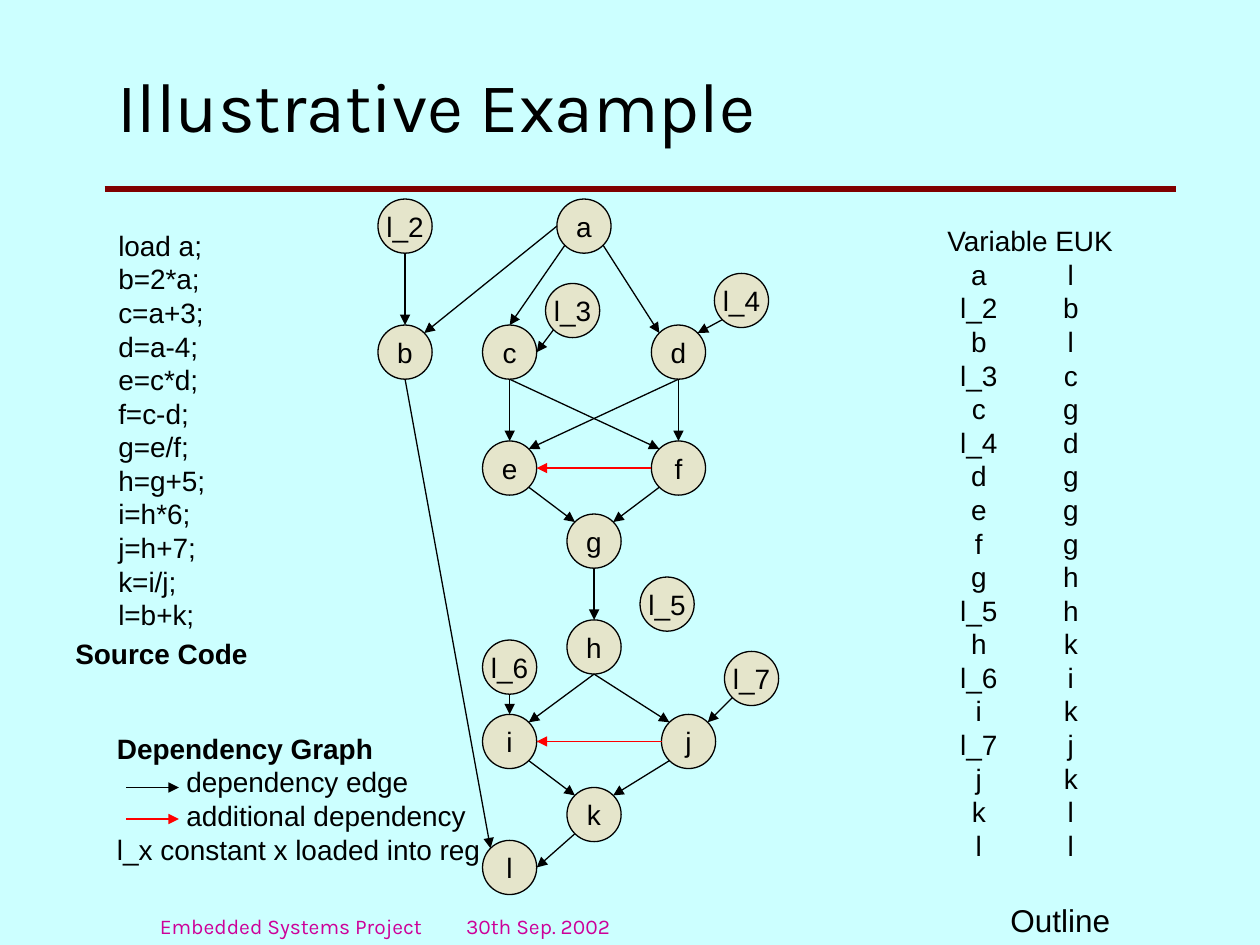
import math

import lxml.etree
import pptx
import pptx.dml.color
import pptx.enum.shapes
import pptx.enum.text
import pptx.oxml.ns
import pptx.util

Inches = pptx.util.Inches
ANCHOR = pptx.enum.text.MSO_ANCHOR
ALIGN = pptx.enum.text.PP_ALIGN
BLACK, RED = "000000", "FF0000"
NODE_SIZE = 0.43

SOURCE_CODE = ["load a;", "b=2*a;", "c=a+3;", "d=a-4;", "e=c*d;", "f=c-d;",
               "g=e/f;", "h=g+5;", "i=h*6;", "j=h+7;", "k=i/j;", "l=b+k;"]

# Left and top of each node
NODES = {
    "b": (3, 2.58), "l_4": (5.67, 2.17), "d": (5.17, 2.58), "a": (4.42, 1.58),
    "l_2": (3, 1.58), "l_3": (4.33, 2.25), "c": (3.83, 2.58), "h": (4.5, 4.92),
    "l_5": (5.08, 4.58), "e": (3.83, 3.5), "f": (5.17, 3.5), "i": (3.83, 5.67),
    "g": (4.5, 4.08), "l_7": (5.75, 5.17), "j": (5.25, 5.67), "k": (4.5, 6.25),
    "l_6": (3.83, 5.08), "l": (3.83, 6.67),
}

# Compass points of a node, as clockwise angles from the right
SITES = {"E": 0, "SE": 45, "S": 90, "SW": 135, "W": 180, "NW": 225, "N": 270, "NE": 315}

DEPENDENCIES = [
    ("l_2", "S", "b", "N"), ("a", "SW", "c", "N"), ("l_3", "SW", "c", "E"),
    ("a", "SE", "d", "NW"), ("a", "W", "b", "NE"), ("l_4", "SW", "d", "NE"),
    ("c", "S", "e", "N"), ("c", "S", "f", "NW"), ("d", "S", "f", "N"),
    ("d", "S", "e", "NE"), ("e", "SE", "g", "NW"), ("f", "SW", "g", "NE"),
    ("g", "S", "h", "N"), ("l_6", "S", "i", "N"), ("l_7", "SW", "j", "NE"),
    ("h", "S", "i", "NE"), ("h", "S", "j", "NW"), ("i", "SE", "k", "NW"),
    ("j", "SW", "k", "NE"), ("k", "SW", "l", "E"), ("b", "S", "l", "NW"),
]
ADDITIONAL_DEPENDENCIES = [("f", "W", "e", "E"), ("j", "W", "i", "E")]

LAST_USES = [
    ("a", "l"), ("l_2", "b"), ("b", "l"), ("l_3", "c"), ("c", "g"), ("l_4", "d"),
    ("d", "g"), ("e", "g"), ("f", "g"), ("g", "h"), ("l_5", "h"), ("h", "k"),
    ("l_6", "i"), ("i", "k"), ("l_7", "j"), ("j", "k"), ("k", "l"), ("l", "l"),
]


def rgb(color):
    return pptx.dml.color.RGBColor.from_string(color)


def add_child(parent, tag, **attributes):
    child = lxml.etree.SubElement(parent, pptx.oxml.ns.qn(tag))
    for name, value in attributes.items():
        child.set(name, str(value))
    return child


def add_run(paragraph, text, size=16, font="Arial", color=BLACK, bold=False):
    run = paragraph.add_run()
    run.text = text
    run.font.size = pptx.util.Pt(size)
    run.font.name = font
    run.font.bold = bold
    run.font.color.rgb = rgb(color)


def set_tabs(paragraph, positions, alignment):
    tab_list = add_child(paragraph._p.get_or_add_pPr(), "a:tabLst")
    for position in positions:
        add_child(tab_list, "a:tab", pos=Inches(position), algn=alignment)


def add_text(slide, left, top, width, height, lines, size=16, tabs=(),
             tab_alignment="l", **run_format):
    """Add a bottom-anchored text box with one paragraph per line."""
    box = slide.shapes.add_textbox(Inches(left), Inches(top), Inches(width), Inches(height))
    frame = box.text_frame
    frame.word_wrap = True
    frame.vertical_anchor = ANCHOR.BOTTOM
    for index, line in enumerate(lines):
        paragraph = frame.add_paragraph() if index else frame.paragraphs[0]
        if tabs:
            set_tabs(paragraph, tabs, tab_alignment)
        paragraph.line_spacing = pptx.util.Pt(size * 1.2)
        add_run(paragraph, line, size, **run_format)
    return frame


def add_line(slide, start, end, color=BLACK, width=0.75, arrow=True):
    line = slide.shapes.add_connector(
        pptx.enum.shapes.MSO_CONNECTOR.STRAIGHT, *map(Inches, (*start, *end)))
    line.line.color.rgb = rgb(color)
    line.line.width = pptx.util.Pt(width)
    if arrow:
        add_child(line.line._get_or_add_ln(), "a:tailEnd", type="triangle")
    add_child(line._element.spPr, "a:effectLst")


def add_node(slide, name, left, top):
    node = slide.shapes.add_shape(
        pptx.enum.shapes.MSO_SHAPE.OVAL,
        *map(Inches, (left, top, NODE_SIZE, NODE_SIZE)))
    node.shadow.inherit = False
    node.fill.solid()
    node.fill.fore_color.rgb = rgb("FFCC99")
    fill_color = node._element.spPr.find(".//" + pptx.oxml.ns.qn("a:srgbClr"))
    add_child(fill_color, "a:alpha", val=50000)
    node.line.color.rgb = rgb(BLACK)
    node.line.width = pptx.util.Pt(0.75)
    frame = node.text_frame
    frame.word_wrap = False
    frame.vertical_anchor = ANCHOR.MIDDLE
    frame.paragraphs[0].alignment = ALIGN.CENTER
    add_run(frame.paragraphs[0], name)


def site_point(name, site):
    left, top = NODES[name]
    radius = NODE_SIZE / 2
    angle = math.radians(SITES[site])
    return (left + radius + radius * math.cos(angle),
            top + radius + radius * math.sin(angle))


def add_edges(slide, edges, color):
    for source, source_site, target, target_site in edges:
        add_line(slide, site_point(source, source_site),
                 site_point(target, target_site), color)


def add_title(slide, text):
    title = slide.shapes.title
    title.left, title.top, title.width, title.height = map(Inches, (0.83, 0.33, 7.75, 1))
    frame = title.text_frame
    frame.auto_size = pptx.enum.text.MSO_AUTO_SIZE.NONE
    frame.vertical_anchor = ANCHOR.MIDDLE
    frame.paragraphs[0].alignment = ALIGN.LEFT
    add_run(frame.paragraphs[0], text, 40, "Karla")


def add_legend(slide):
    frame = add_text(slide, 0.83, 5.75, 3.09, 1.17, [
        "Dependency Graph", "dependency edge", "additional dependency",
        "l_x constant x loaded into reg"])
    frame.paragraphs[0].runs[0].font.bold = True
    for paragraph in frame.paragraphs[1:3]:
        paragraph._p.get_or_add_pPr().set("marL", str(Inches(0.55)))
    for y, color in ((6.25, BLACK), (6.5, RED)):
        add_line(slide, (1, y), (1.42, y), color)


def main():
    presentation = pptx.Presentation()
    presentation.slide_width = Inches(10)
    presentation.slide_height = Inches(7.5)
    slide = presentation.slides.add_slide(presentation.slide_layouts[5])
    slide.background.fill.solid()
    slide.background.fill.fore_color.rgb = rgb("CCFFFF")

    add_line(slide, (0.83, 1.5), (9.33, 1.5), "800000", 3, arrow=False)
    add_text(slide, 7.92, 7.1, 1.08, 0.4, ["Outline"], 18)
    add_title(slide, "Illustrative Example")
    add_text(slide, 0.84, 1.76, 0.95, 3.3, SOURCE_CODE)
    add_text(slide, 0.5, 5, 1.7, 0.37, ["Source Code"], bold=True)

    for name, (left, top) in NODES.items():
        add_node(slide, name, left, top)
    add_edges(slide, DEPENDENCIES, BLACK)
    add_edges(slide, ADDITIONAL_DEPENDENCIES, RED)
    add_legend(slide)

    rows = [f"\t{variable}\t{last_use}" for variable, last_use in LAST_USES]
    add_text(slide, 7.42, 1.72, 1.6, 5.17, ["Variable EUK", *rows],
             tabs=(0.25, 0.98), tab_alignment="ctr")
    add_text(slide, 1.17, 7.17, 5.92, 0.33, ["Embedded Systems Project\t30th Sep. 2002"],
             12, tabs=(2.43,), font="Karla", color="CC0099")
    presentation.save("out.pptx")


if __name__ == "__main__":
    main()
